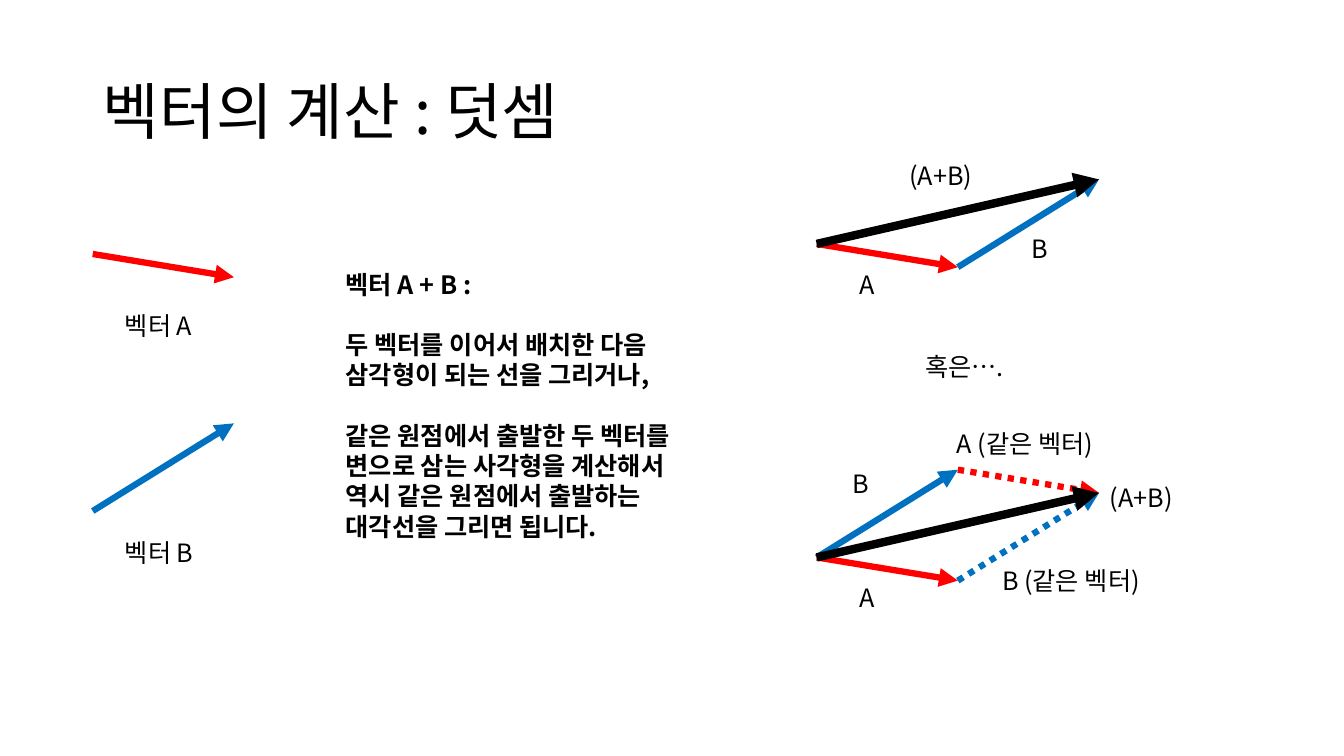
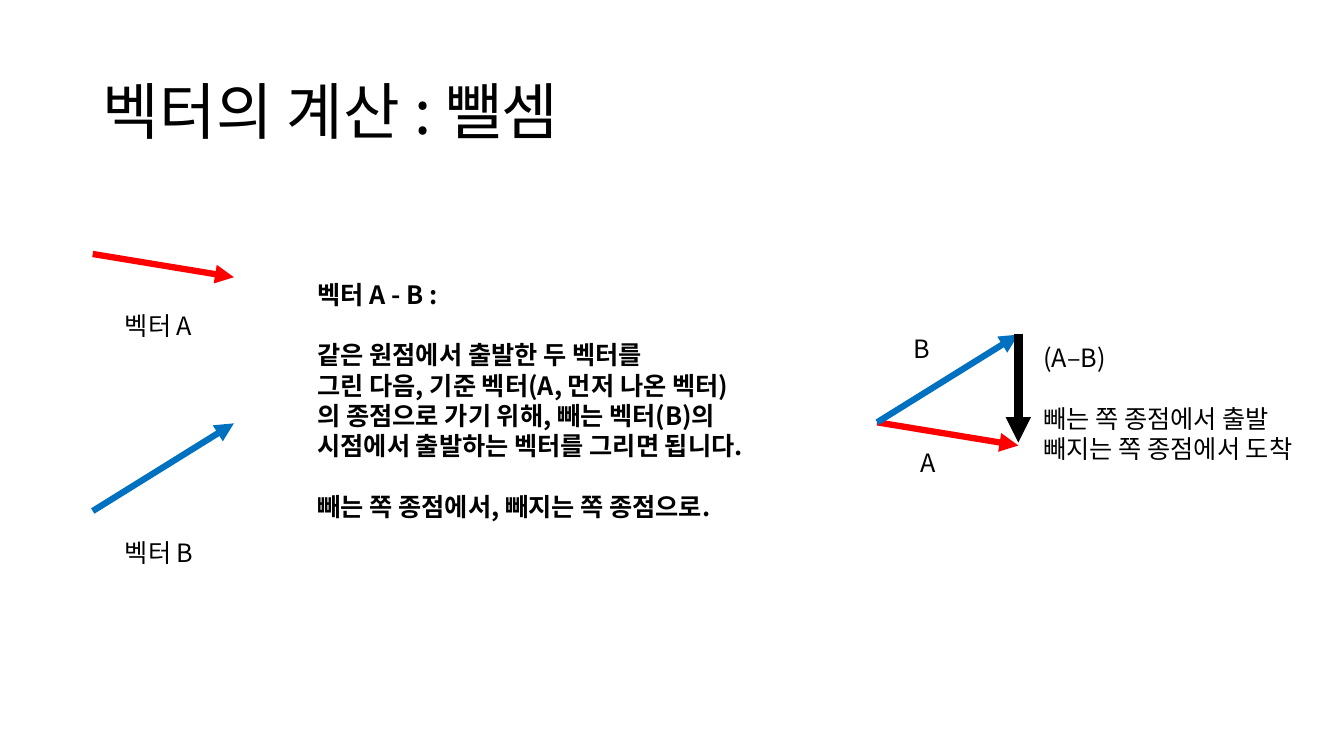
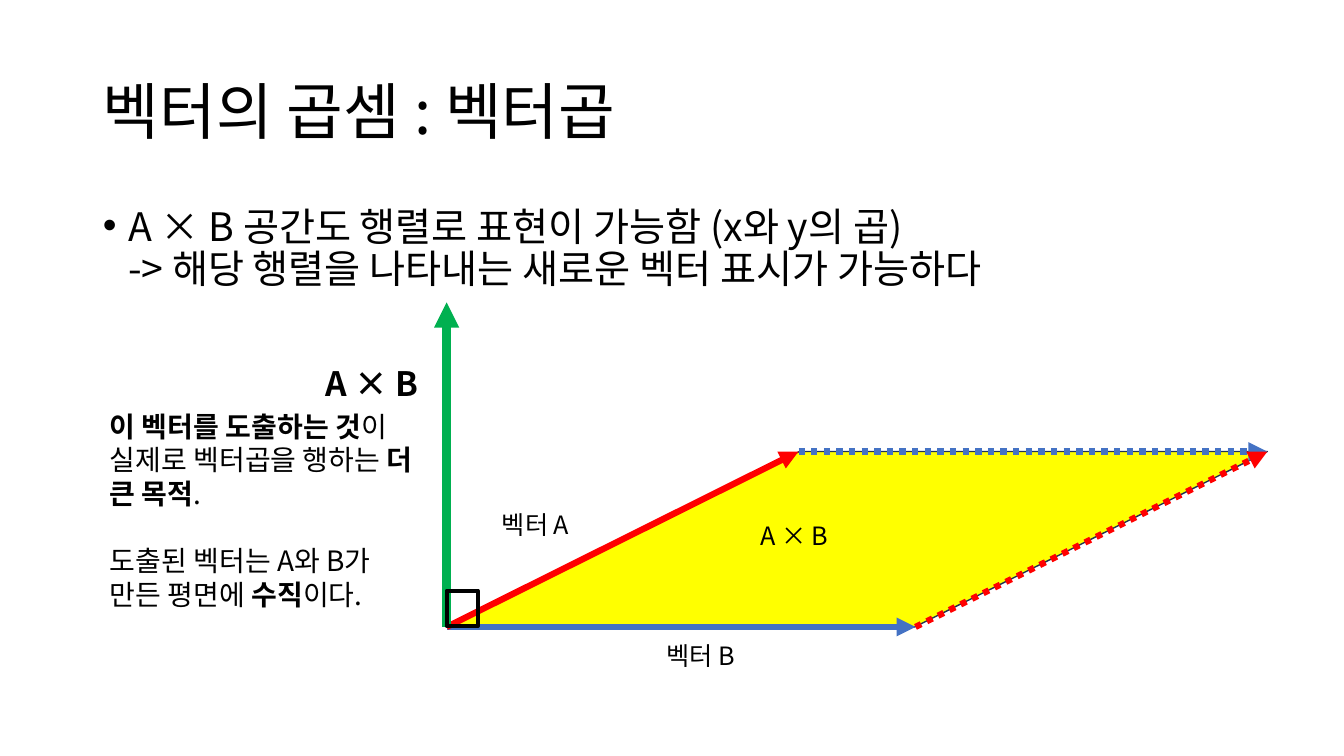
from lxml import etree
from pptx import Presentation
from pptx import util as u
from pptx.dml.color import RGBColor
from pptx.enum import dml, shapes, text
from pptx.oxml.ns import qn

PX = 9144  # EMU per px, at 100 px to the inch
FONT = "Noto Sans CJK KR"
BLACK = RGBColor(0x00, 0x00, 0x00)
RED = RGBColor(0xFF, 0x00, 0x00)
BLUE = RGBColor(0x00, 0x70, 0xC0)
SOFT_BLUE = RGBColor(0x44, 0x72, 0xC4)
GREEN = RGBColor(0x00, 0xB0, 0x50)
YELLOW = RGBColor(0xFF, 0xFF, 0x00)
NAVY = RGBColor(0x1E, 0x32, 0x56)


def write(frame, content, size, bold=False, leading=1.2):
    """Fill a frame: a blank line opens a gap, *stars* mark bold runs."""
    first = True
    for stanza_no, stanza in enumerate(content.split("\n\n")):
        for line_no, line in enumerate(stanza.split("\n")):
            paragraph = frame.paragraphs[0] if first else frame.add_paragraph()
            first = False
            pieces = line.split("*")
            if len(pieces) == 1:
                paragraph.text = line
            else:
                for i, piece in enumerate(pieces):
                    if piece:
                        run = paragraph.add_run()
                        run.text = piece
                        run.font.bold = i % 2 == 1
            paragraph.alignment = text.PP_ALIGN.LEFT
            paragraph.line_spacing = u.Pt(round(size * leading, 1))
            if stanza_no and line_no == 0:
                paragraph.space_before = u.Pt(size * leading)
            font = paragraph.font
            font.name, font.size, font.bold = FONT, u.Pt(size), bold
            font.color.rgb = BLACK
            defaults = paragraph._p.pPr.find(qn("a:defRPr"))
            etree.SubElement(defaults, qn("a:ea")).set("typeface", FONT)


def vector(slide, start, end, color, width=4.5, dotted=False):
    arrow = slide.shapes.add_connector(
        shapes.MSO_CONNECTOR.STRAIGHT, *[round(v * PX) for v in (*start, *end)])
    arrow.line.color.rgb = color
    arrow.line.width = u.Pt(width)
    if dotted:
        arrow.line.dash_style = dml.MSO_LINE.ROUND_DOT
    etree.SubElement(arrow.line._get_or_add_ln(), qn("a:tailEnd")).set("type", "triangle")
    etree.SubElement(arrow._element.spPr, qn("a:effectLst"))


prs = Presentation()
prs.slide_width, prs.slide_height = 1333 * PX, 750 * PX
TITLE_AND_BODY, TITLE_ONLY = prs.slide_layouts[1], prs.slide_layouts[5]

slides = []
for heading, layout in (("벡터의 계산 : 덧셈", TITLE_ONLY),
                        ("벡터의 계산 : 뺄셈", TITLE_ONLY),
                        ("벡터의 곱셈 : 벡터곱", TITLE_AND_BODY)):
    slide = prs.slides.add_slide(layout)
    title = slide.shapes.title
    title.left, title.top, title.width, title.height = [v * PX for v in (92, 40, 1150, 145)]
    title.text_frame.auto_size = text.MSO_AUTO_SIZE.NONE
    title.text_frame.vertical_anchor = text.MSO_ANCHOR.MIDDLE
    write(title.text_frame, heading, 44, leading=1.08)
    slides.append(slide)
addition, subtraction, product = slides

# Vectors A and B as steps from their starting point
A_X, A_Y = 140, 23
B_X, B_Y = 140, -87
for slide in (addition, subtraction):
    vector(slide, (92, 252), (92 + A_X, 252 + A_Y), RED)
    vector(slide, (92, 507), (92 + B_X, 507 + B_Y), BLUE)

# Addition: triangle above, parallelogram below
for x, y, is_parallelogram in ((810, 242, False), (810, 553, True)):
    a_tip = (x + A_X, y + A_Y)
    b_tip = (x + B_X, y + B_Y)
    sum_tip = (x + A_X + B_X, y + A_Y + B_Y)
    vector(addition, (x, y), a_tip, RED)
    if is_parallelogram:
        vector(addition, (x, y), b_tip, BLUE)
        vector(addition, b_tip, sum_tip, RED, dotted=True)
    vector(addition, a_tip, sum_tip, BLUE, dotted=is_parallelogram)
    vector(addition, (x, y), sum_tip, BLACK, 6)

# Subtraction: from the tip of B to the tip of A
x, y = 870, 419
vector(subtraction, (x, y), (x + A_X, y + A_Y), RED)
vector(subtraction, (x, y), (x + B_X, y + B_Y), BLUE)
vector(subtraction, (x + B_X, 331), (x + A_X, 439), BLACK, 6)

# Cross product: the plane of A and B with its normal
body = product.placeholders[1]
body.left, body.top, body.width, body.height = [v * PX for v in (92, 200, 1150, 476)]
body.text_frame.auto_size = text.MSO_AUTO_SIZE.NONE
write(body.text_frame,
      "A × B 공간도 행렬로 표현이 가능함 (x와 y의 곱)\v"
      "-> 해당 행렬을 나타내는 새로운 벡터 표시가 가능하다", 28, leading=1.08)
bullet = body.text_frame.paragraphs[0]
bullet.space_before = u.Pt(10)
bullet._p.pPr.set("marL", str(25 * PX))
bullet._p.pPr.set("indent", str(-25 * PX))

origin, a_tip, b_tip, far_corner = (443, 622), (792, 448), (908, 622), (1257, 448)
plane = product.shapes.add_shape(
    shapes.MSO_SHAPE.PARALLELOGRAM, *[v * PX for v in (443, 448, 814, 174)])
plane.adjustments[0] = 2.01
plane.fill.solid()
plane.fill.fore_color.rgb = YELLOW
plane.line.color.rgb, plane.line.width = NAVY, u.Pt(1)
vector(product, origin, b_tip, SOFT_BLUE)
vector(product, origin, a_tip, RED)
vector(product, a_tip, far_corner, SOFT_BLUE, dotted=True)
vector(product, b_tip, far_corner, RED, dotted=True)
vector(product, origin, (443, 300), GREEN, 6)
right_angle = product.shapes.add_shape(
    shapes.MSO_SHAPE.RECTANGLE, *[v * PX for v in (443, 586, 31, 35)])
right_angle.fill.background()
right_angle.line.color.rgb, right_angle.line.width = BLACK, u.Pt(3)
for outline in (plane, right_angle):
    outline.shadow.inherit = False

# Slide, box, wrapping, size, bold, wording
labels = [(slide, box, False, 18, False, name)
          for slide in (addition, subtraction)
          for box, name in (((114, 303, 96, 40), "벡터 A"), ((114, 528, 96, 40), "벡터 B"))]
labels += [
    (addition, (333, 262, 384, 283), False, 18, True,
     "벡터 A + B :\n\n두 벡터를 이어서 배치한 다음\n삼각형이 되는 선을 그리거나,\n\n"
     "같은 원점에서 출발한 두 벡터를\n변으로 삼는 사각형을 계산해서\n"
     "역시 같은 원점에서 출발하는\n대각선을 그리면 됩니다."),
    (addition, (843, 573, 37, 40), False, 18, False, "A"),
    (addition, (836, 460, 35, 40), False, 18, False, "B"),
    (addition, (984, 556, 169, 40), False, 18, False, "B (같은 벡터)"),
    (addition, (939, 420, 171, 40), False, 18, False, "A (같은 벡터)"),
    (addition, (1091, 474, 85, 40), False, 18, False, "(A+B)"),
    (addition, (843, 262, 37, 40), False, 18, False, "A"),
    (addition, (1013, 227, 35, 40), False, 18, False, "B"),
    (addition, (892, 154, 85, 40), False, 18, False, "(A+B)"),
    (addition, (908, 344, 95, 40), False, 18, False, "혹은…."),
    (subtraction, (305, 272, 492, 252), False, 18, True,
     "벡터 A - B :\n\n같은 원점에서 출발한 두 벡터를\n"
     "그린 다음, 기준 벡터(A, 먼저 나온 벡터)\n의 종점으로 가기 위해, 빼는 벡터(B)의\n"
     "시점에서 출발하는 벡터를 그리면 됩니다.\n\n빼는 쪽 종점에서, 빼지는 쪽 종점으로."),
    (subtraction, (903, 439, 37, 40), False, 18, False, "A"),
    (subtraction, (896, 326, 35, 40), False, 18, False, "B"),
    (subtraction, (1025, 335, 299, 131), False, 18, False,
     "(A–B)\n\n빼는 쪽 종점에서 출발\n빼지는 쪽 종점에서 도착"),
    (product, (488, 500, 96, 40), False, 18, False, "벡터 A"),
    (product, (651, 630, 96, 40), False, 18, False, "벡터 B"),
    (product, (744, 511, 260, 40), True, 18, False, "A × B"),
    (product, (313, 355, 260, 50), True, 24, True, "A × B"),
    (product, (99, 401, 329, 212), True, 20, False,
     "*이 벡터를 도출하는 것*이 실제로 벡터곱을 행하는 *더 큰 목적*.\n\n"
     "도출된 벡터는 A와 B가 만든 평면에 *수직*이다."),
]
for slide, box, wraps, size, bold, wording in labels:
    frame = slide.shapes.add_textbox(*[v * PX for v in box]).text_frame
    frame.word_wrap = wraps
    frame.auto_size = text.MSO_AUTO_SIZE.SHAPE_TO_FIT_TEXT
    write(frame, wording, size, bold)

prs.save("out.pptx")
